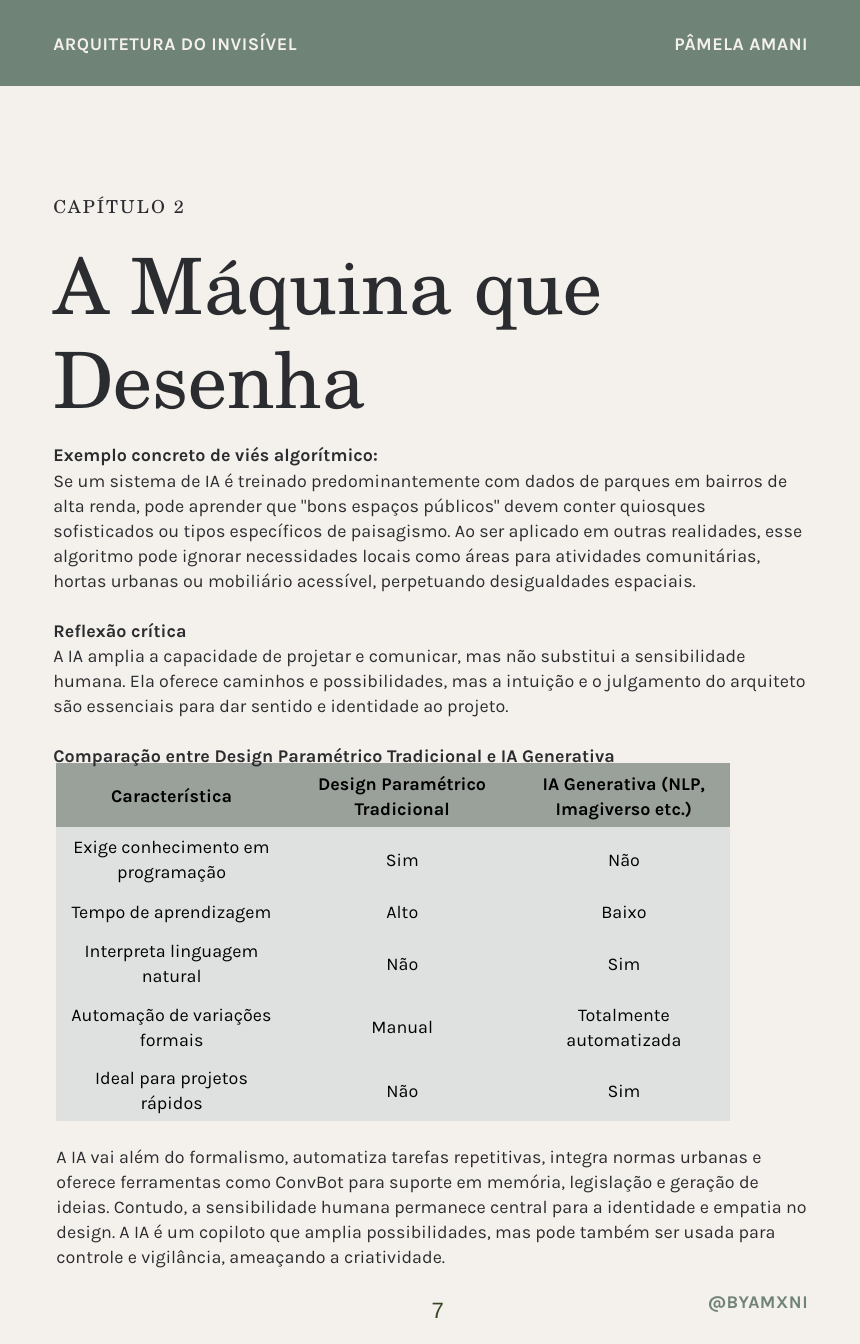
from dataclasses import dataclass

from lxml.etree import SubElement
from pptx import Presentation
from pptx.dml.color import RGBColor
from pptx.enum.shapes import MSO_SHAPE
from pptx.enum.text import MSO_ANCHOR, MSO_AUTO_SIZE, PP_ALIGN
from pptx.oxml.ns import qn
from pptx.slide import Slide
from pptx.text.text import TextFrame, _Paragraph as Para
from pptx.util import Pt


@dataclass(frozen=True)
class Theme:
    paper: str = "F4F0EB"
    green: str = "6F8377"
    ink: str = "2B2C30"
    black: str = "000000"
    olive: str = "374523"
    head: str = "9AA19A"
    cell: str = "DEE1E0"
    sans: str = "Karla"
    serif: str = "TeX Gyre Schola"
    plain: str = "Arial"
    small: float = 8
    page: float = 9.9
    large: float = 34.7


@dataclass(frozen=True)
class Style:
    face: str
    size: float
    color: str
    line: float
    bold: bool = False
    track: int = 0
    align: PP_ALIGN = PP_ALIGN.LEFT


@dataclass(frozen=True)
class Box:
    left: float
    top: float
    width: float
    height: float

    def points(self) -> tuple[Pt, Pt, Pt, Pt]:
        return Pt(self.left), Pt(self.top), Pt(self.width), Pt(self.height)


@dataclass(frozen=True)
class Label:
    text: str
    box: Box
    style: Style
    wrap: bool = True


@dataclass(frozen=True)
class Line:
    text: str
    style: Style
    gap: float = 0


LOOK = Theme()
WIDE, HIGH = 384, 600
LEFT, RIGHT = 23.8, 360.8
LEAD = 11.2

TITLE = Style(LOOK.serif, LOOK.large, LOOK.ink, 41.7)
PROSE = Style(LOOK.sans, LOOK.small, LOOK.ink, LEAD)
STRONG = Style(LOOK.sans, LOOK.small, LOOK.ink, LEAD, True)
HEAD = Style(LOOK.sans, LOOK.small, LOOK.black, LEAD, True, align=PP_ALIGN.CENTER)
CELL = Style(LOOK.sans, LOOK.small, LOOK.black, LEAD, align=PP_ALIGN.CENTER)
CHAPTER = Style(LOOK.serif, LOOK.small, LOOK.ink, 9.6, track=90)
BOOK = Style(LOOK.sans, LOOK.small, LOOK.paper, 9.6, True, 20)
AUTHOR = Style(LOOK.sans, LOOK.small, LOOK.paper, 9.6, True, 20, PP_ALIGN.RIGHT)
HANDLE = Style(LOOK.sans, LOOK.small, LOOK.green, 9.6, True, 20, PP_ALIGN.RIGHT)
PAGE = Style(LOOK.plain, LOOK.page, LOOK.olive, 13.9, align=PP_ALIGN.CENTER)

BODY = [
    Line("Exemplo concreto de viés algorítmico:", STRONG),
    Line("Se um sistema de IA é treinado predominantemente com dados de parques em bairros de alta renda, "
         "pode aprender que \"bons espaços públicos\" devem conter quiosques sofisticados ou tipos específicos "
         "de paisagismo. Ao ser aplicado em outras realidades, esse algoritmo pode ignorar necessidades locais "
         "como áreas para atividades comunitárias, hortas urbanas ou mobiliário acessível, perpetuando "
         "desigualdades espaciais.", PROSE),
    Line("Reflexão crítica", STRONG, LEAD),
    Line("A IA amplia a capacidade de projetar e comunicar, mas não substitui a sensibilidade humana. "
         "Ela oferece caminhos e possibilidades, mas a intuição e o julgamento do arquiteto são essenciais "
         "para dar sentido e identidade ao projeto.", PROSE),
    Line("Comparação entre Design Paramétrico Tradicional e IA Generativa", STRONG, LEAD),
]

CLOSE = (
    "A IA vai além do formalismo, automatiza tarefas repetitivas, integra normas urbanas e oferece "
    "ferramentas como ConvBot para suporte em memória, legislação e geração de ideias. Contudo, a "
    "sensibilidade humana permanece central para a identidade e empatia no design. A IA é um copiloto "
    "que amplia possibilidades, mas pode também ser usada para controle e vigilância, ameaçando a criatividade."
)

LABELS = [
    Label("CAPÍTULO 2", Box(LEFT, 87.1, 301, 9.6), CHAPTER),
    Label("ARQUITETURA DO INVISÍVEL", Box(LEFT, 14.6, 214, 9.6), BOOK),
    Label("PÂMELA AMANI", Box(252, 14.6, RIGHT - 252, 9.6), AUTHOR),
    Label("@BYAMXNI", Box(252, 576, RIGHT - 252, 9.6), HANDLE),
    Label(CLOSE, Box(25.2, 509.8, 337, 64), PROSE),
    Label("7", Box(189.4, 576.7, 12.2, 15.1), PAGE, False),
]

ROWS = [
    ("Característica", "Design Paramétrico Tradicional", "IA Generativa (NLP, Imagiverso etc.)"),
    ("Exige conhecimento em programação", "Sim", "Não"),
    ("Tempo de aprendizagem", "Alto", "Baixo"),
    ("Interpreta linguagem natural", "Não", "Sim"),
    ("Automação de variações formais", "Manual", "Totalmente automatizada"),
    ("Ideal para projetos rápidos", "Não", "Sim"),
]
COLS = (103, 103, 95)
TALL = (28.4, 28.4, 18, 28.4, 28.4, 28.4)


def dress(para: Para, style: Style) -> None:
    para.alignment = style.align
    para.line_spacing = Pt(style.line)
    for run in para.runs:
        font = run.font
        font.name, font.size, font.bold = style.face, Pt(style.size), style.bold
        font.color.rgb = RGBColor.from_string(style.color)
        if style.track:
            run._r.get_or_add_rPr().set("spc", str(style.track))


def frame_up(frame: TextFrame, wrap: bool = True) -> None:
    frame.margin_left = frame.margin_right = frame.margin_top = frame.margin_bottom = 0
    frame.word_wrap = wrap
    frame.auto_size = MSO_AUTO_SIZE.NONE
    frame.vertical_anchor = MSO_ANCHOR.TOP


def draw_band(slide: Slide) -> None:
    band = slide.shapes.add_shape(MSO_SHAPE.RECTANGLE, *Box(0, 0, WIDE, 38.4).points())
    band.shadow.inherit = False
    band.fill.solid()
    band.fill.fore_color.rgb = RGBColor.from_string(LOOK.green)
    band.line.fill.background()


def draw_label(slide: Slide, label: Label) -> None:
    frame = slide.shapes.add_textbox(*label.box.points()).text_frame
    frame_up(frame, label.wrap)
    frame.text = label.text
    dress(frame.paragraphs[0], label.style)


def fill_holder(slide: Slide, index: int, box: Box, lines: list[Line]) -> None:
    holder = slide.placeholders[index]
    holder.left, holder.top, holder.width, holder.height = box.points()
    frame = holder.text_frame
    frame_up(frame)
    frame.text = "\n".join(line.text for line in lines)
    for para, line in zip(frame.paragraphs, lines):
        props = para._p.get_or_add_pPr()
        props.set("marL", "0")
        props.set("indent", "0")
        SubElement(props, qn("a:buNone"))
        para.space_before = Pt(line.gap)
        dress(para, line.style)


def draw_table(slide: Slide) -> None:
    box = Box(25.2, 340.6, sum(COLS), sum(TALL))
    shape = slide.shapes.add_table(len(ROWS), len(COLS), *box.points())
    slide.shapes.title.element.addprevious(shape.element)
    table = shape.table
    table.first_row = table.horz_banding = False
    for col, width in zip(table.columns, COLS):
        col.width = Pt(width)
    for row, height, texts in zip(table.rows, TALL, ROWS):
        row.height = Pt(height)
        top = texts is ROWS[0]
        for cell, text in zip(row.cells, texts):
            cell.text = text
            cell.vertical_anchor = MSO_ANCHOR.MIDDLE
            cell.margin_left = cell.margin_right = cell.margin_top = cell.margin_bottom = Pt(3)
            props = cell._tc.get_or_add_tcPr()
            for side in ("lnL", "lnR", "lnT", "lnB"):
                SubElement(SubElement(props, qn(f"a:{side}"), w="0"), qn("a:noFill"))
            cell.fill.solid()
            cell.fill.fore_color.rgb = RGBColor.from_string(LOOK.head if top else LOOK.cell)
            dress(cell.text_frame.paragraphs[0], HEAD if top else CELL)


def main() -> None:
    deck = Presentation()
    deck.slide_width, deck.slide_height = Pt(WIDE), Pt(HIGH)
    slide = deck.slides.add_slide(deck.slide_layouts[1])
    slide.background.fill.solid()
    slide.background.fill.fore_color.rgb = RGBColor.from_string(LOOK.paper)
    draw_band(slide)
    draw_table(slide)
    fill_holder(slide, 0, Box(LEFT, 105.8, 263.5, 83.4), [Line("A Máquina que Desenha", TITLE)])
    fill_holder(slide, 1, Box(LEFT, 196.6, RIGHT - LEFT, 146), BODY)
    for label in LABELS:
        draw_label(slide, label)
    deck.save("out.pptx")


if __name__ == "__main__":
    main()
